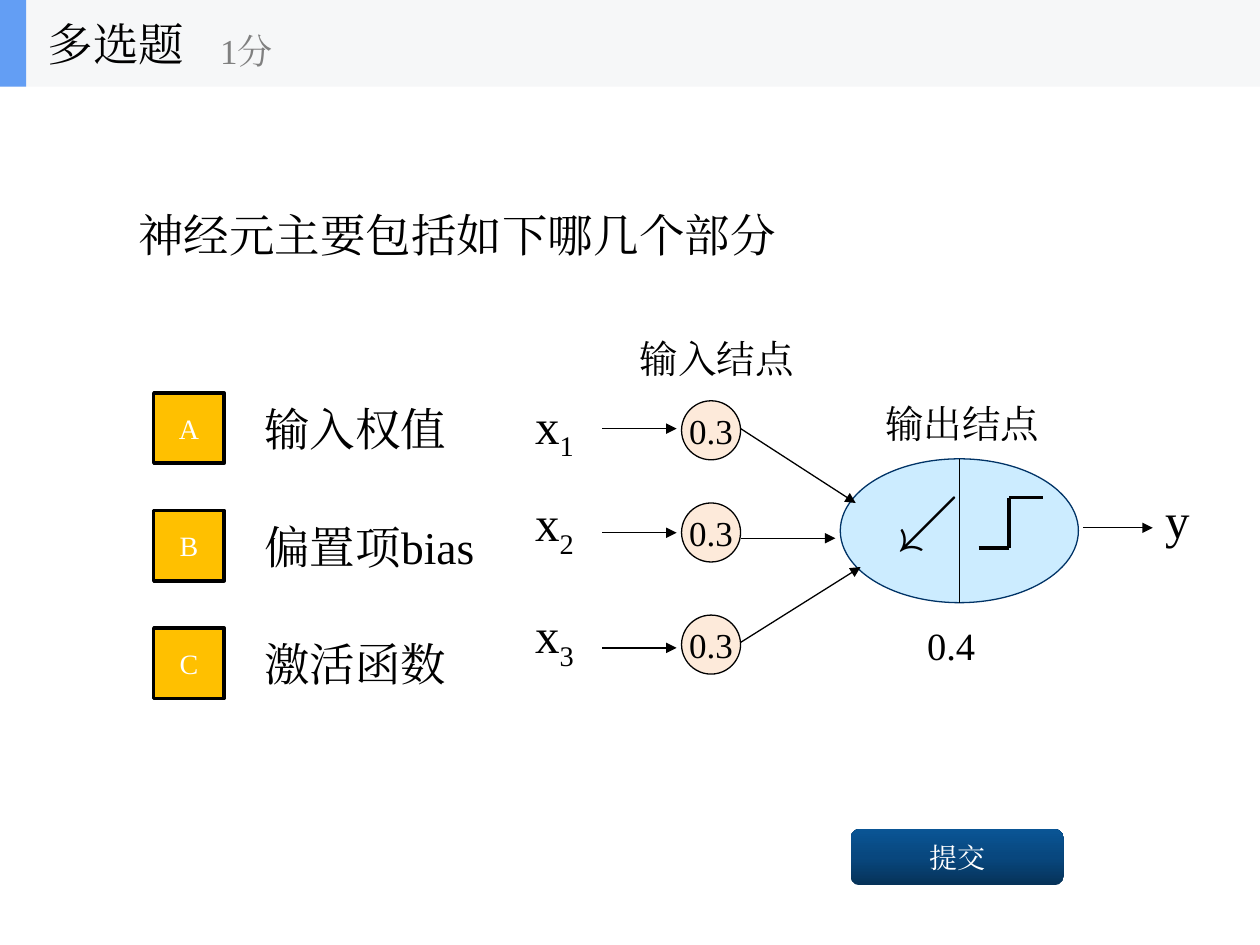
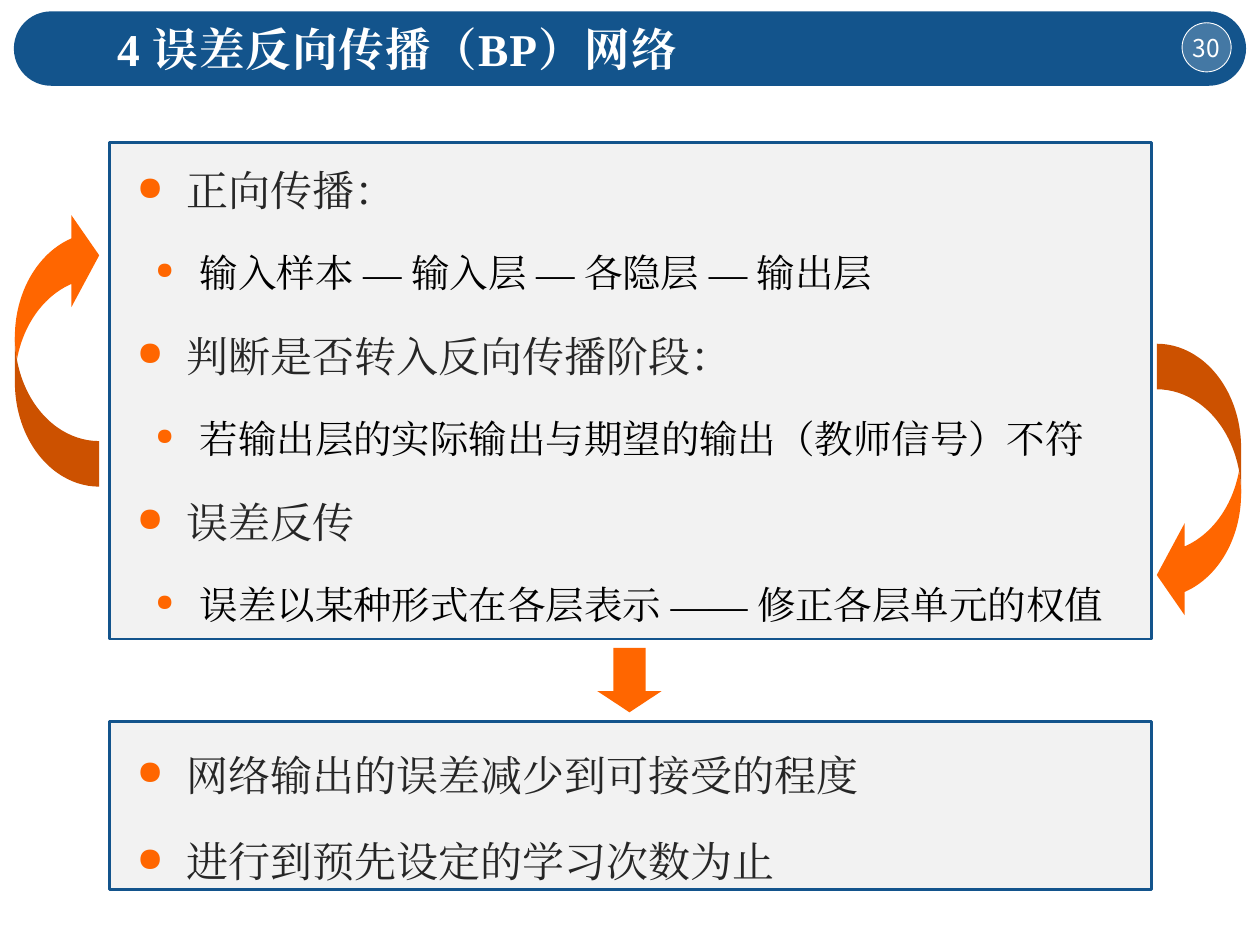
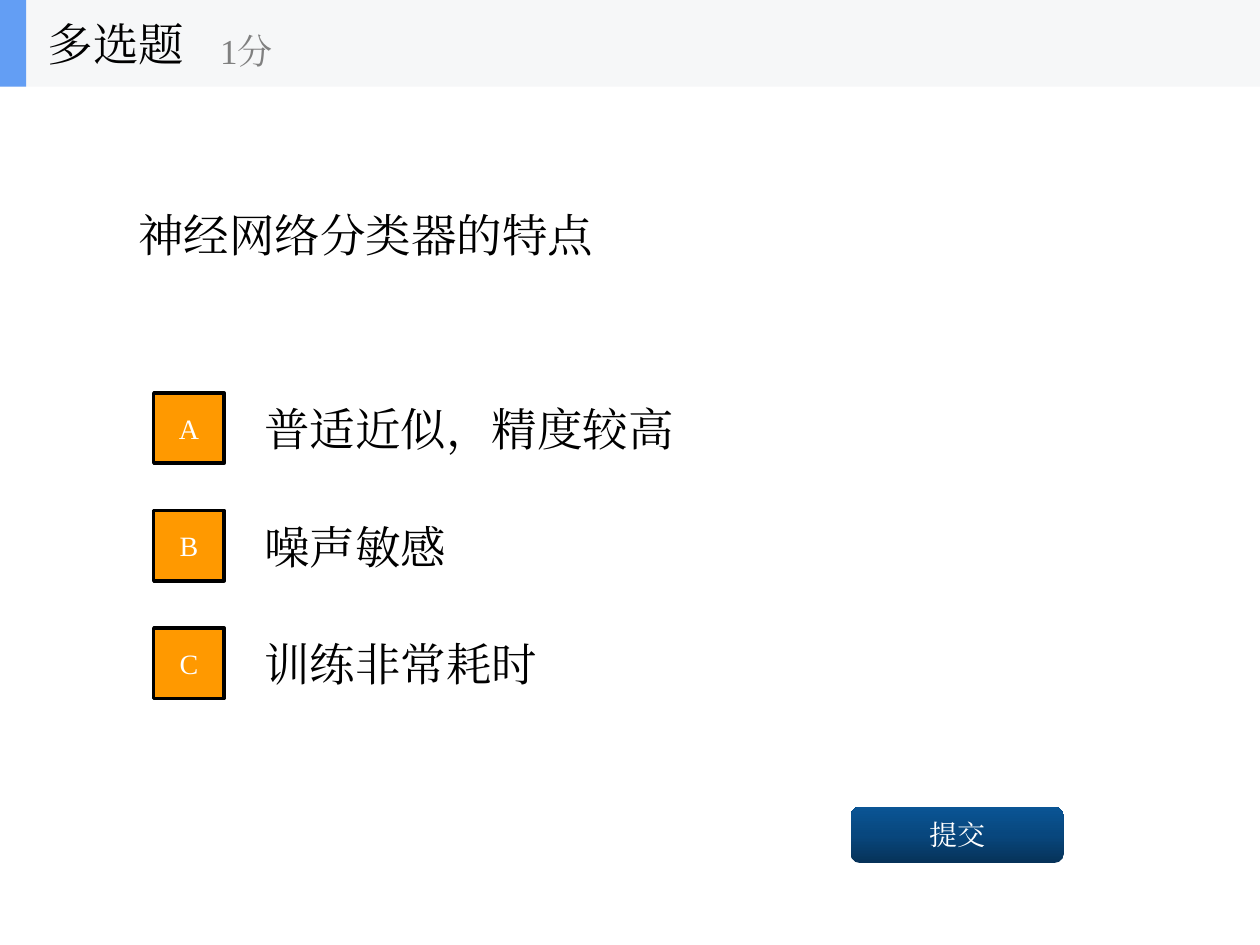
from copy import deepcopy
from dataclasses import dataclass
from itertools import pairwise

from lxml.etree import SubElement
from pptx import Presentation
from pptx.dml.color import RGBColor
from pptx.enum.shapes import MSO_CONNECTOR, MSO_SHAPE
from pptx.enum.text import MSO_ANCHOR, PP_ALIGN
from pptx.oxml.ns import qn
from pptx.util import Cm, Pt


@dataclass(frozen=True)
class Theme:
    font: str = "Times New Roman"
    number_font: str = "Noto Sans CJK SC"
    black: str = "000000"
    white: str = "FFFFFF"
    grey: str = "808080"
    dark: str = "262626"
    navy: str = "13548C"
    panel: str = "F2F2F2"
    orange: str = "FF6600"
    header: str = "F6F7F8"
    strip: str = "639EF4"
    gold: str = "FFC000"
    amber: str = "FF9900"
    node: str = "FDEADA"
    cell: str = "CCECFF"
    cell_line: str = "003366"
    button: tuple = ("063258", "08477E", "0A5595")
    heading: int = 26
    symbol: int = 28
    arrow_symbol: int = 36
    body: int = 24
    detail: int = 22
    value: int = 20
    small: int = 16
    number: int = 14


T = Theme()


@dataclass(frozen=True)
class Box:
    x: float
    y: float
    w: float
    h: float

    def at(self, dx, dy, w, h):
        return Box(self.x + dx, self.y + dy, w, h)

    def lengths(self):
        return Cm(self.x), Cm(self.y), Cm(self.w), Cm(self.h)


def rgb(color):
    return RGBColor.from_string(color)


def add_run(p, text, size, color=T.black, font=T.font, bold=False, **attrs):
    r = p.add_run()
    r.text = text
    r.font.size = Pt(size)
    r.font.bold = bold
    r.font.name = font
    r.font.color.rgb = rgb(color)
    rPr = r._r.get_or_add_rPr()
    SubElement(rPr, qn("a:ea")).set("typeface", font)
    for key, value in attrs.items():
        rPr.set(key, str(value))
    return r


def add_text(s, box, text, size, color=T.black, anchor=MSO_ANCHOR.TOP,
             wrap=False, **style):
    tf = s.shapes.add_textbox(*box.lengths()).text_frame
    tf.word_wrap = wrap
    tf.vertical_anchor = anchor
    p = tf.paragraphs[0]
    add_run(p, text, size, color, **style)
    return p


def add_shape(s, kind, box, fill=None, line=None, width=0.75):
    sp = s.shapes.add_shape(kind, *box.lengths())
    sp.shadow.inherit = False
    if fill:
        sp.fill.solid()
        sp.fill.fore_color.rgb = rgb(fill)
    if line:
        sp.line.color.rgb = rgb(line)
        sp.line.width = Pt(width)
    else:
        sp.line.fill.background()
    return sp


def add_label(sp, text, size, color=T.white, wrap=True, font=T.font):
    tf = sp.text_frame
    tf.word_wrap = wrap
    tf.vertical_anchor = MSO_ANCHOR.MIDDLE
    p = tf.paragraphs[0]
    p.alignment = PP_ALIGN.CENTER
    add_run(p, text, size, color, font)
    return tf


def add_line(s, box, start, end, width=0.75, arrow=False):
    (x1, y1), (x2, y2) = start, end
    c = s.shapes.add_connector(
        MSO_CONNECTOR.STRAIGHT,
        Cm(box.x + x1), Cm(box.y + y1), Cm(box.x + x2), Cm(box.y + y2))
    c.line.color.rgb = rgb(T.black)
    c.line.width = Pt(width)
    if arrow:
        SubElement(c.line._get_or_add_ln(), qn("a:tailEnd")).set("type", "triangle")
    SubElement(c._element.spPr, qn("a:effectLst"))


def quiz_header(s, box):
    add_shape(s, MSO_SHAPE.RECTANGLE, box, T.header)
    add_shape(s, MSO_SHAPE.RECTANGLE, box.at(0, 0, 0.53, box.h), T.strip)
    add_text(s, box.at(0.71, 0, 5.28, box.h), "多选题", T.heading,
             anchor=MSO_ANCHOR.MIDDLE, wrap=True)
    add_text(s, box.at(4.19, 0.3, 6.35, 1.42), "1分", T.value, T.grey,
             MSO_ANCHOR.MIDDLE, wrap=True)


def quiz_options(s, box, options, fill):
    pitch, side = 2.37, 1.42
    for i, (letter, text) in enumerate(zip("ABC", options)):
        row = box.at(0, i * pitch, box.w, 1.78)
        add_text(s, row.at(1.98, 0, row.w - 1.98, row.h), text, T.heading,
                 anchor=MSO_ANCHOR.MIDDLE, wrap=True)
        sp = add_shape(s, MSO_SHAPE.RECTANGLE, row.at(0, 0.17, side, side),
                       fill, T.black, 2)
        add_label(sp, letter, T.small)


def submit_button(s, box):
    sp = add_shape(s, MSO_SHAPE.ROUNDED_RECTANGLE, box)
    sp.fill.gradient()
    sp.fill.gradient_angle = 90
    stops = sp._element.spPr.find(".//" + qn("a:gsLst"))
    stops.insert(1, deepcopy(stops[0]))
    for i, (stop, color) in enumerate(zip(sp.fill.gradient_stops, T.button)):
        stop.position = i / 2
        stop.color.rgb = rgb(color)
    add_label(sp, "提交", T.small)


def output_cell(s, box):
    add_shape(s, MSO_SHAPE.OVAL, box, T.cell, T.cell_line)
    add_line(s, box, (box.w / 2, 0), (box.w / 2, box.h))
    add_text(s, box.at(0.89, 0.3, 1.09, 1.78), "↙", T.arrow_symbol, wrap=True)
    step = [(2.79, 1.8), (3.4, 1.8), (3.4, 0.78), (4.09, 0.78)]
    for start, end in pairwise(step):
        add_line(s, box, start, end, 2)


def neuron_diagram(s, box):
    output_cell(s, box.at(6.4, 2.62, 4.8, 2.9))
    rows = [
        (1.22, 2.01, 1.45, (4.39, 2.01), (6.71, 3.51)),
        (3.18, 4.11, 3.51, (4.39, 4.22), (6.3, 4.22)),
        (5.44, 6.43, 5.77, (4.39, 6.32), (6.81, 4.8)),
    ]
    for i, (name_y, arrow_y, node_y, start, end) in enumerate(rows, 1):
        p = add_text(s, box.at(0, name_y, 1.37, 1.45), "x", T.symbol)
        add_run(p, str(i), T.symbol, baseline=-25000)
        add_line(s, box, (1.6, arrow_y), (3.1, arrow_y), arrow=True)
        node = add_shape(s, MSO_SHAPE.OVAL, box.at(3.2, node_y, 1.19, 1.19),
                         T.node, T.black)
        add_label(node, "0.3", T.value, T.black, wrap=False)
        add_line(s, box, start, end, arrow=True)
    add_line(s, box, (11.3, 4.01), (12.7, 4.01), arrow=True)
    add_text(s, box.at(12.7, 3.12, 0.99, 1.45), "y", T.symbol)
    for dx, dy, w, text in [(2.11, 0, 3.63, "输入结点"),
                            (7.06, 1.3, 3.63, "输出结点"),
                            (7.9, 5.79, 1.5, "0.4")]:
        add_text(s, box.at(dx, dy, w, 1.19), text, T.detail)


def quiz_slide(s, box, question, options, fill, button_y):
    add_text(s, box.at(2.54, 1.75, 20.32, 5.94), question, T.heading,
             anchor=MSO_ANCHOR.MIDDLE, wrap=True)
    quiz_options(s, box.at(3.1, 7.75, 19.76, 6.52), options, fill)
    submit_button(s, box.at(17.15, button_y, 4.29, 1.14))
    quiz_header(s, box.at(0, 0, box.w, 1.75))


def title_bar(s, box, title, number):
    bar = add_shape(s, MSO_SHAPE.ROUNDED_RECTANGLE, box, T.navy)
    bar.adjustments[0] = 0.5
    add_text(s, box.at(1.83, 0.07, 13.89, 1.37), title, T.heading, T.white,
             wrap=True, bold=True, spc=50)
    badge = add_shape(s, MSO_SHAPE.OVAL, box.at(23.55, 0.23, 0.99, 0.99),
                      T.white, T.white, 0.5)
    color = badge._element.spPr.find(qn("a:solidFill"))[0]
    SubElement(color, qn("a:alpha")).set("val", "21000")
    tf = add_label(badge, number, T.number, wrap=False, font=T.number_font)
    tf.margin_left = tf.margin_right = tf.margin_top = tf.margin_bottom = 0


def add_bullet(p, margin, indent, percent):
    pPr = p._p.get_or_add_pPr()
    pPr.set("marL", str(Cm(margin)))
    pPr.set("indent", str(Cm(-indent)))
    color = SubElement(pPr, qn("a:buClr"))
    SubElement(color, qn("a:srgbClr")).set("val", T.orange)
    SubElement(pPr, qn("a:buSzPct")).set("val", str(percent * 1000))
    SubElement(pPr, qn("a:buChar")).set("char", "●")


def bullet_panel(s, box, text_dy, items):
    add_shape(s, MSO_SHAPE.RECTANGLE, box, T.panel, T.navy, 1.5)
    text_box = box.at(0.3, text_dy, 20.93, box.h)
    tf = s.shapes.add_textbox(*text_box.lengths()).text_frame
    tf.word_wrap = True
    for i, (level, text) in enumerate(items):
        p = tf.add_paragraph() if i else tf.paragraphs[0]
        p.line_spacing = 1.5
        p.space_before = Pt(6 if i else 0)
        if level:
            add_bullet(p, 1.27, 0.89, 60)
            add_run(p, text, T.detail)
        else:
            add_bullet(p, 1, 1, 80)
            add_run(p, text, T.body, T.dark)


def loop_arrow(s, box, rotation=0):
    sp = add_shape(s, MSO_SHAPE.CURVED_LEFT_ARROW, box, T.orange)
    for i, value in enumerate((0.54, 1.09, 0.33)):
        sp.adjustments[i] = value
    sp.rotation = rotation


def process_slide(s, box):
    title_bar(s, box.at(0.28, 0.23, 24.84, 1.5), "4 误差反向传播（BP）网络", "30")
    bullet_panel(s, box.at(2.21, 2.87, 21.01, 10.01), -0.18, [
        (0, "正向传播："),
        (1, "输入样本 — 输入层 — 各隐层 — 输出层"),
        (0, "判断是否转入反向传播阶段："),
        (1, "若输出层的实际输出与期望的输出（教师信号）不符"),
        (0, "误差反传"),
        (1, "误差以某种形式在各层表示 —— 修正各层单元的权值"),
    ])
    bullet_panel(s, box.at(2.21, 14.55, 21.01, 3.38), -0.07, [
        (0, "网络输出的误差减少到可接受的程度"),
        (0, "进行到预先设定的学习次数为止"),
    ])
    loop_arrow(s, box.at(23.32, 6.93, 1.7, 5.59))
    loop_arrow(s, box.at(0.3, 4.22, 1.7, 5.59), 180)
    down = add_shape(s, MSO_SHAPE.DOWN_ARROW, box.at(12.04, 13.06, 1.3, 1.3),
                     T.orange)
    down.adjustments[1] = 0.33


def main():
    prs = Presentation()
    page = Box(0, 0, 25.4, 19.05)
    prs.slide_width, prs.slide_height = Cm(page.w), Cm(page.h)
    blank = prs.slide_layouts[6]

    s = prs.slides.add_slide(blank)
    quiz_slide(s, page, "神经元主要包括如下哪几个部分",
               ["输入权值", "偏置项bias", "激活函数"], T.gold, 16.71)
    neuron_diagram(s, page.at(10.54, 6.63, 13.69, 6.98))

    process_slide(prs.slides.add_slide(blank), page)

    s = prs.slides.add_slide(blank)
    quiz_slide(s, page, "神经网络分类器的特点",
               ["普适近似，精度较高", "噪声敏感", "训练非常耗时"], T.amber, 16.26)

    prs.save("out.pptx")


if __name__ == "__main__":
    main()
